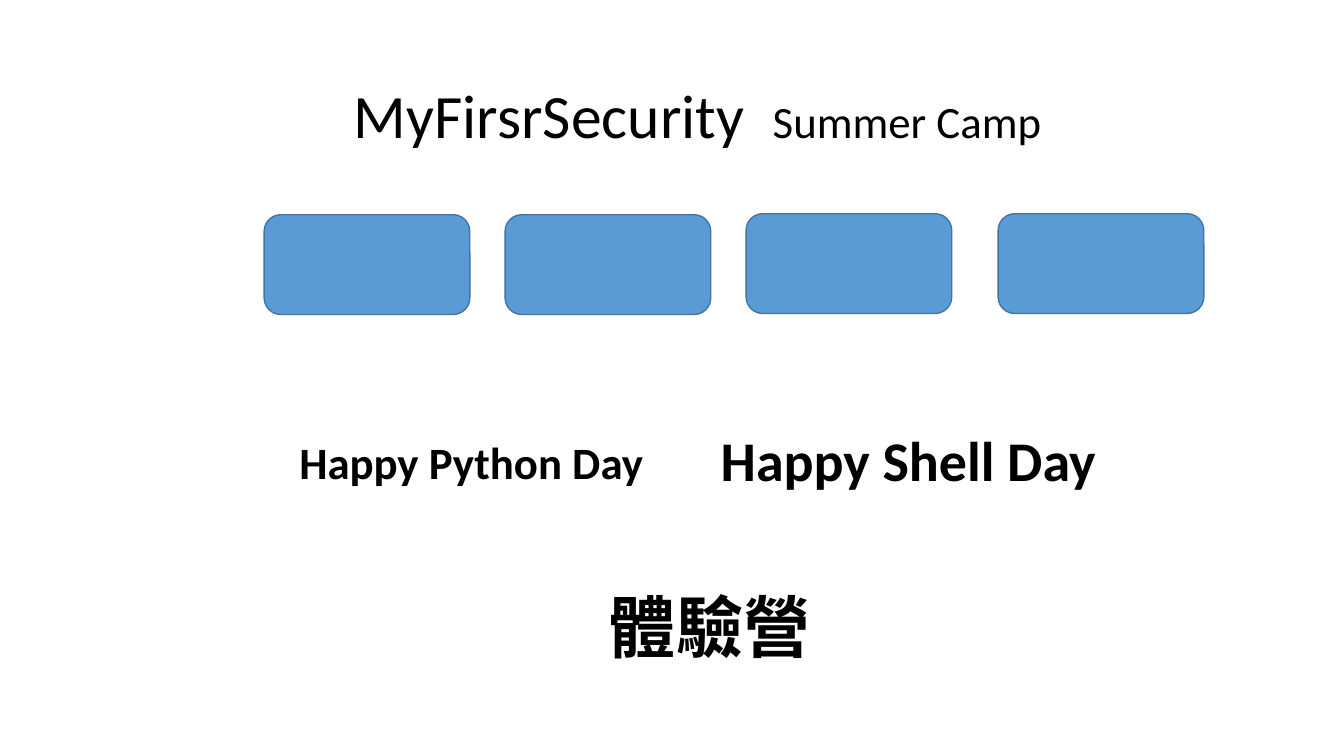
"""Build the summer camp overview slide."""
from typing import NamedTuple

from pptx import Presentation
from pptx.dml.color import RGBColor
from pptx.enum.shapes import MSO_SHAPE as SHAPE
from pptx.enum.text import MSO_ANCHOR as ANCHOR, MSO_AUTO_SIZE as AUTO, PP_ALIGN as ALIGN
from pptx.shapes.autoshape import Shape
from pptx.slide import Slide
from pptx.util import Inches, Pt

BLACK = RGBColor(0x00, 0x00, 0x00)
BLUE = RGBColor(0x5B, 0x9B, 0xD5)
DARK_BLUE = RGBColor(0x43, 0x73, 0x9E)
FONT = "Calibri"


class Box(NamedTuple):
    left: float
    top: float
    width: float
    height: float


class Label(NamedTuple):
    text: str
    size: int
    box: Box


TITLE_BOX = Box(3.41, 0.71, 7.29, 0.84)
TITLE_RUNS = [("MyFirsrSecurity  ", 44), ("Summer Camp", 32)]
CARDS = [Box(left, top, 2.04, 0.99)
         for left, top in [(2.62, 2.13), (5.01, 2.13), (7.4, 2.12), (9.9, 2.12)]]
LABELS = [
    Label("Happy Python Day", 32, Box(2.87, 4.26, 3.64, 0.64)),
    Label("Happy Shell Day", 40, Box(7.05, 4.17, 4.08, 0.77)),
    Label("體驗營", 48, Box(5.94, 5.76, 2.22, 0.91)),
]


def place(sp: Shape, box: Box) -> None:
    sp.left, sp.top, sp.width, sp.height = map(Inches, box)


def write(sp: Shape, runs: list[tuple[str, int]], bold: bool, wrap: bool) -> None:
    tf = sp.text_frame
    tf.word_wrap = wrap
    tf.auto_size = AUTO.SHAPE_TO_FIT_TEXT
    tf.vertical_anchor = ANCHOR.TOP
    p = tf.paragraphs[0]
    p.alignment = ALIGN.LEFT
    for text, size in runs:
        r = p.add_run()
        r.text = text
        r.font.name = FONT
        r.font.size = Pt(size)
        r.font.bold = bold
        r.font.color.rgb = BLACK


def add_card(s: Slide, box: Box) -> None:
    sp = s.shapes.add_shape(SHAPE.ROUNDED_RECTANGLE, *map(Inches, box))
    sp.shadow.inherit = False
    sp.fill.solid()
    sp.fill.fore_color.rgb = BLUE
    sp.line.color.rgb = DARK_BLUE
    sp.line.width = Pt(1)


def add_label(s: Slide, label: Label) -> None:
    sp = s.shapes.add_textbox(*map(Inches, label.box))
    write(sp, [(label.text, label.size)], bold=True, wrap=False)


prs = Presentation()
prs.slide_width, prs.slide_height = Inches(13.33), Inches(7.5)
s = prs.slides.add_slide(prs.slide_layouts.get_by_name("Title Only"))
place(s.shapes.title, TITLE_BOX)
write(s.shapes.title, TITLE_RUNS, bold=False, wrap=True)
for card in CARDS:
    add_card(s, card)
for label in LABELS:
    add_label(s, label)
prs.save("out.pptx")
